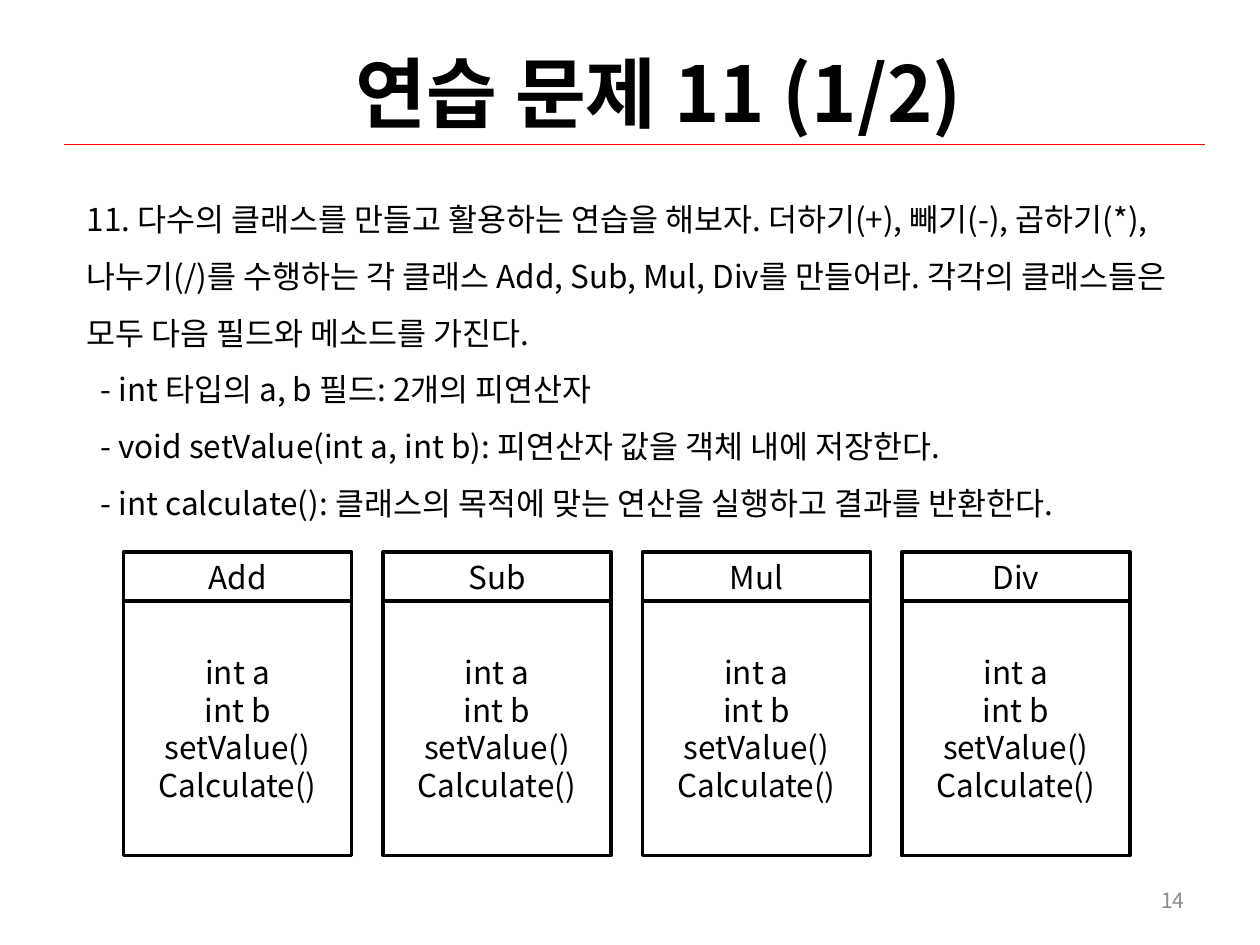
from lxml import etree
from pptx import Presentation
from pptx import util as u
from pptx.dml.color import RGBColor
from pptx.enum import shapes, text
from pptx.oxml import ns

BLACK = RGBColor(0x00, 0x00, 0x00)
GRAY = RGBColor(0x8C, 0x8C, 0x8C)
RED = RGBColor(0xFF, 0x00, 0x00)
FONT = "Noto Sans CJK KR"

TITLE = "연습 문제 11 (1/2)"
QUESTION = (
    "11. 다수의 클래스를 만들고 활용하는 연습을 해보자. 더하기(+), 빼기(-), 곱하기(*), "
    "나누기(/)를 수행하는 각 클래스 Add, Sub, Mul, Div를 만들어라. "
    "각각의 클래스들은 모두 다음 필드와 메소드를 가진다."
)
REQUIREMENTS = [
    "- int 타입의 a, b 필드: 2개의 피연산자",
    "- void setValue(int a, int b): 피연산자 값을 객체 내에 저장한다.",
    "- int calculate(): 클래스의 목적에 맞는 연산을 실행하고 결과를 반환한다.",
]
CLASSES = ["Add", "Sub", "Mul", "Div"]
MEMBERS = ["int a", "int b", "setValue()", "Calculate()"]


def write_lines(frame, lines, size=18, color=BLACK, bold=False,
                align=text.PP_ALIGN.CENTER):
    frame.word_wrap = True
    frame.vertical_anchor = text.MSO_ANCHOR.MIDDLE
    for index, line in enumerate(lines):
        para = frame.paragraphs[0] if index == 0 else frame.add_paragraph()
        para.text = line
        para.alignment = align
        font = para.font
        font.name = FONT
        font.size = u.Pt(size)
        font.bold = bold
        font.color.rgb = color
        east_asian = etree.SubElement(para._p.pPr.defRPr, ns.qn("a:ea"))
        east_asian.set("typeface", FONT)


def add_text(page, left, top, width, height, lines, **style):
    box = page.shapes.add_textbox(u.Cm(left), u.Cm(top), u.Cm(width), u.Cm(height))
    write_lines(box.text_frame, lines, **style)
    return box


def add_rule(page, left, right, y):
    rule = page.shapes.add_connector(
        shapes.MSO_CONNECTOR.STRAIGHT, u.Cm(left), u.Cm(y), u.Cm(right), u.Cm(y))
    rule.line.color.rgb = RED
    rule.line.width = u.Pt(0.75)
    etree.SubElement(rule._element.spPr, ns.qn("a:effectLst"))


def add_question(page):
    box = add_text(page, 1.5, 3.53, 23.01, 7.19, [QUESTION, *REQUIREMENTS],
                   align=text.PP_ALIGN.LEFT)
    box.text_frame.vertical_anchor = text.MSO_ANCHOR.TOP
    for index, para in enumerate(box.text_frame.paragraphs):
        para.line_spacing = 1.5
        if index > 0:
            para._p.pPr.set("marL", str(u.Cm(0.28)))


def add_cell(page, left, top, height, lines):
    cell = page.shapes.add_shape(
        shapes.MSO_SHAPE.RECTANGLE, u.Cm(left), u.Cm(top), u.Cm(4.6), u.Cm(height))
    cell.shadow.inherit = False
    cell.fill.background()
    cell.line.color.rgb = BLACK
    cell.line.width = u.Pt(2)
    write_lines(cell.text_frame, lines)


def add_class_box(page, left, name):
    top, header_height = 11.13, 0.99
    add_cell(page, left, top + header_height, 5.13, MEMBERS)
    add_cell(page, left, top, header_height, [name])


def main():
    deck = Presentation()
    deck.slide_width, deck.slide_height = u.Cm(25.4), u.Cm(19.05)
    page = deck.slides.add_slide(deck.slide_layouts[6])
    add_rule(page, 1.3, 24.3, 2.92)
    add_text(page, 1.27, 0.76, 24.03, 2.16, [TITLE], size=44, bold=True)
    add_text(page, 18.2, 17.65, 5.93, 1.01, ["14"], size=12, color=GRAY,
             align=text.PP_ALIGN.RIGHT)
    add_question(page)
    for index, name in enumerate(CLASSES):
        add_class_box(page, 2.49 + 5.23 * index, name)
    deck.save("out.pptx")


if __name__ == "__main__":
    main()
